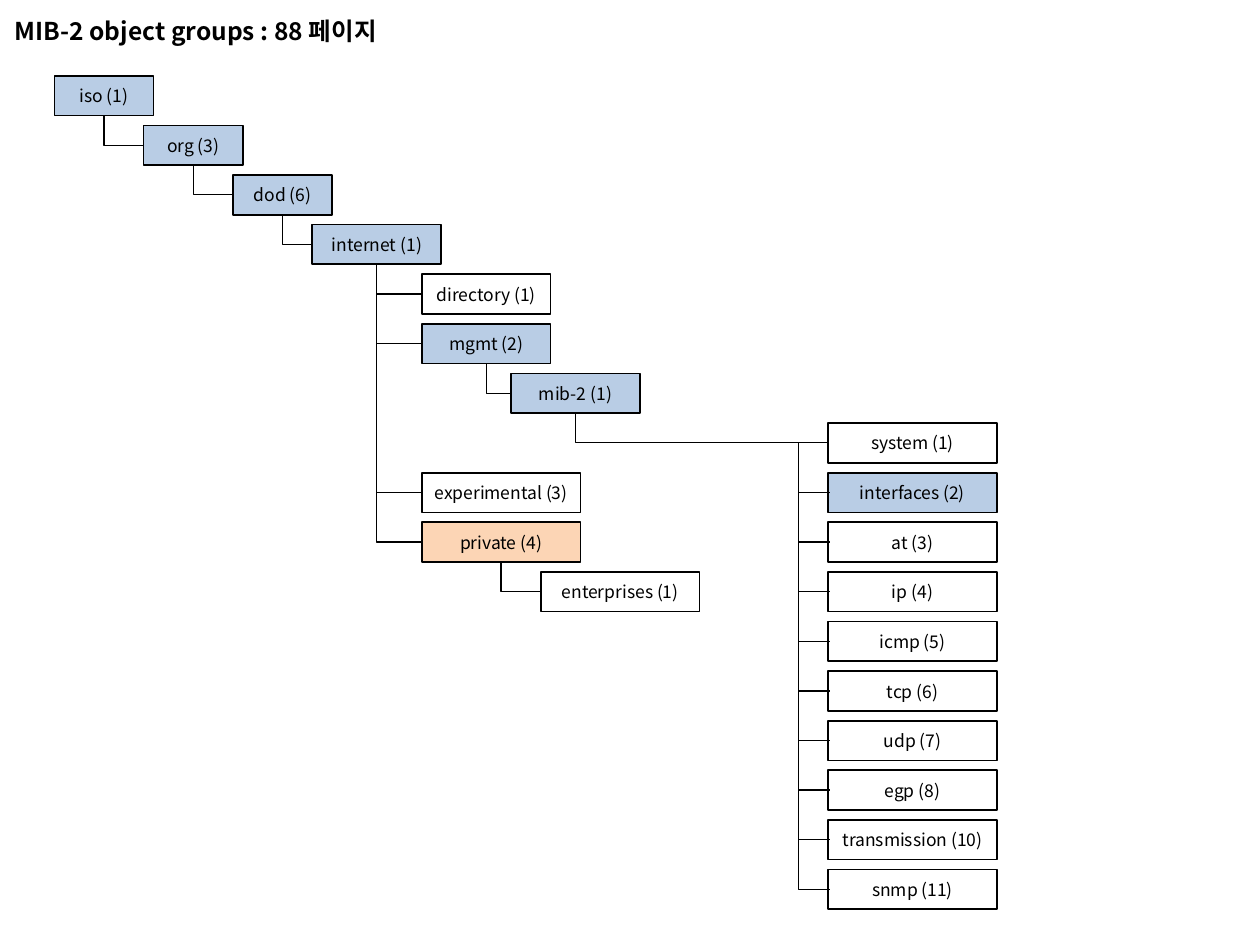
from itertools import pairwise

from lxml import etree
from pptx import Presentation
from pptx.dml.color import RGBColor
from pptx.enum.shapes import MSO_CONNECTOR, MSO_SHAPE
from pptx.enum.text import MSO_ANCHOR, PP_ALIGN
from pptx.oxml.ns import qn
from pptx.util import Pt

ELBOW = MSO_CONNECTOR.ELBOW
RECTANGLE = MSO_SHAPE.RECTANGLE
MIDDLE = MSO_ANCHOR.MIDDLE
LEFT, CENTER = PP_ALIGN.LEFT, PP_ALIGN.CENTER
LEFT_SIDE, BOTTOM_SIDE = 1, 2

BLACK, BLUE, ORANGE = "000000", "B9CDE5", "FCD5B5"
FIRST_TOP, ROW_PITCH, NODE_HEIGHT = 43.3, 28.35, 22.7
GROUP_LEFT, GROUP_WIDTH, FIRST_GROUP_ROW = 473.2, 96.4, 7
NUDGE, TRUNK_RATIO = 1, 18

BRANCHES = [
    ("iso (1)", 0, 31.1, 56.7, BLUE, None),
    ("org (3)", 1, 82.1, 56.7, BLUE, "iso (1)"),
    ("dod (6)", 2, 133.1, 56.7, BLUE, "org (3)"),
    ("internet (1)", 3, 178.5, 73.7, BLUE, "dod (6)"),
    ("directory (1)", 4, 241, 73.7, None, "internet (1)"),
    ("mgmt (2)", 5, 241, 73.7, BLUE, "internet (1)"),
    ("mib-2 (1)", 6, 292, 73.7, BLUE, "mgmt (2)"),
    ("experimental (3)", 8, 241, 90.7, None, "internet (1)"),
    ("private (4)", 9, 241, 90.7, ORANGE, "internet (1)"),
    ("enterprises (1)", 10, 309, 90.7, None, "private (4)"),
]
MIB_GROUPS = [
    "system (1)", "interfaces (2)", "at (3)", "ip (4)", "icmp (5)",
    "tcp (6)", "udp (7)", "egp (8)", "transmission (10)", "snmp (11)",
]


def color(value):
    return RGBColor.from_string(value)


class TreeSlide:
    """Draws the parts of an object tree on one slide in a shared style."""

    font = "Noto Sans CJK KR"

    def __init__(self, slide):
        self.shapes = slide.shapes

    def label(self, frame, text, size, align, bold=False):
        frame.word_wrap = True
        frame.vertical_anchor = MIDDLE
        paragraph = frame.paragraphs[0]
        paragraph.alignment = align
        run = paragraph.add_run()
        run.text = text
        run.font.name = self.font
        run.font.size = Pt(size)
        run.font.bold = bold
        run.font.color.rgb = color(BLACK)
        east_asian = etree.SubElement(run.font._element, qn("a:ea"))
        east_asian.set("typeface", self.font)

    def title(self, text):
        box = self.shapes.add_textbox(Pt(1.4), Pt(3.6), Pt(648), Pt(27.4))
        self.label(box.text_frame, text, 14, LEFT, bold=True)

    def node(self, name, row, left, width, fill):
        top = FIRST_TOP + row * ROW_PITCH
        node = self.shapes.add_shape(
            RECTANGLE, Pt(left), Pt(top), Pt(width), Pt(NODE_HEIGHT))
        node.shadow.inherit = False
        if fill:
            node.fill.solid()
            node.fill.fore_color.rgb = color(fill)
        else:
            node.fill.background()
        node.line.color.rgb = color(BLACK)
        node.line.width = Pt(1)
        self.label(node.text_frame, name, 10, CENTER)
        return node

    def elbow(self, start_x, start_y, end_x, end_y):
        link = self.shapes.add_connector(ELBOW, start_x, start_y, end_x, end_y)
        link.line.color.rgb = color(BLACK)
        link.line.width = Pt(0.75)
        etree.SubElement(link._element.spPr, qn("a:effectLst"))
        return link, link._element.spPr.find(qn("a:prstGeom"))

    def child_link(self, parent, child):
        link, geometry = self.elbow(
            child.left, child.top + child.height // 2,
            parent.left + parent.width // 2, parent.top + parent.height)
        geometry.set("prst", "bentConnector2")
        link.begin_connect(child, LEFT_SIDE)
        link.end_connect(parent, BOTTOM_SIDE)

    def sibling_link(self, upper, lower):
        _, geometry = self.elbow(
            lower.left + Pt(NUDGE), lower.top + lower.height // 2,
            upper.left, upper.top + upper.height // 2)
        guide = etree.SubElement(geometry.find(qn("a:avLst")), qn("a:gd"))
        guide.set("name", "adj1")
        guide.set("fmla", f"val {TRUNK_RATIO * 100000}")


def main():
    presentation = Presentation()
    presentation.slide_width, presentation.slide_height = Pt(720), Pt(540)
    tree = TreeSlide(presentation.slides.add_slide(presentation.slide_layouts[6]))
    tree.title("MIB-2 object groups : 88 페이지")

    nodes = {}
    for name, row, left, width, fill, parent in BRANCHES:
        nodes[name] = tree.node(name, row, left, width, fill)
        if parent:
            tree.child_link(nodes[parent], nodes[name])

    groups = [
        tree.node(name, row, GROUP_LEFT, GROUP_WIDTH,
                  BLUE if name == "interfaces (2)" else None)
        for row, name in enumerate(MIB_GROUPS, FIRST_GROUP_ROW)
    ]
    tree.child_link(nodes["mib-2 (1)"], groups[0])
    for upper, lower in pairwise(groups):
        tree.sibling_link(upper, lower)

    presentation.save("out.pptx")


if __name__ == "__main__":
    main()
